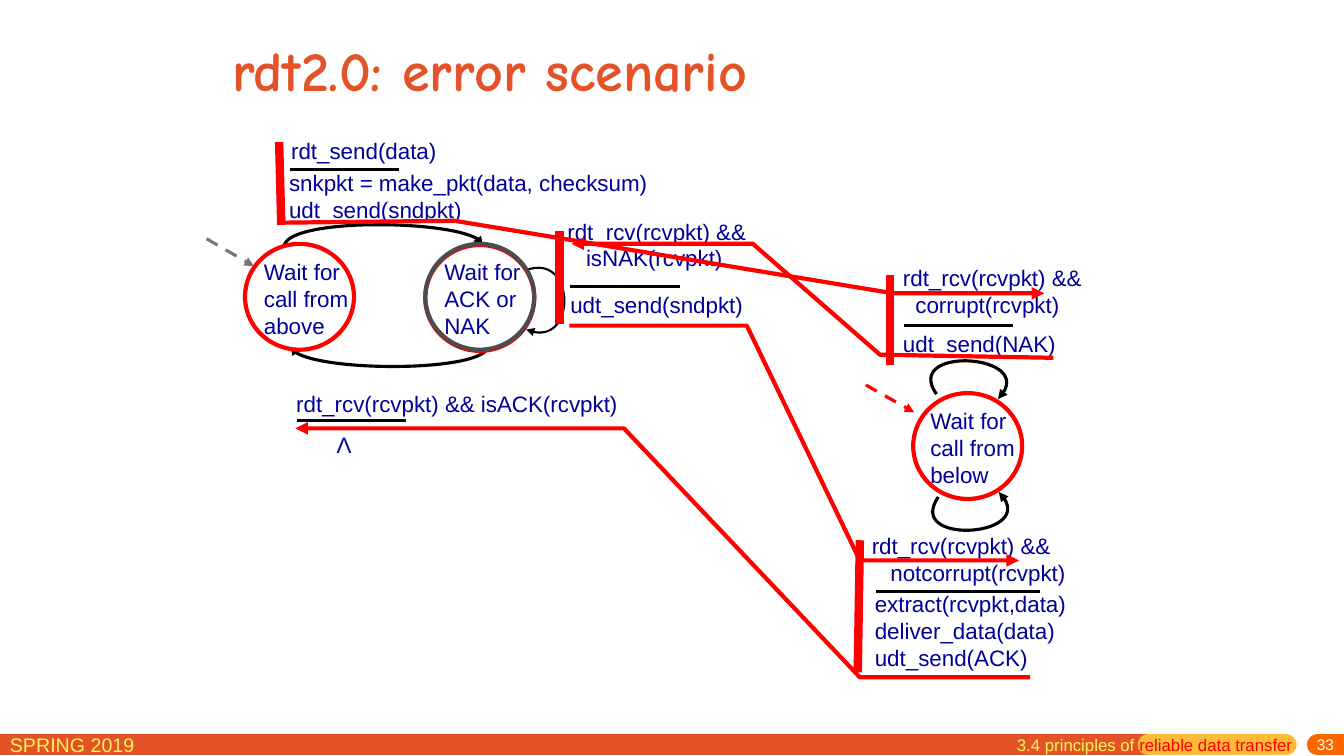
from dataclasses import dataclass

from lxml import etree
from pptx import Presentation
from pptx import util as u
from pptx.dml.color import RGBColor
from pptx.enum import dml, shapes, text
from pptx.oxml.ns import qn

Point = tuple[float, float]


@dataclass(frozen=True)
class Theme:
    orange: str = "E45327"
    amber: str = "FFBA37"
    badge: str = "FF6600"
    yellow: str = "FFF65C"
    navy: str = "000099"
    red: str = "FF0000"
    black: str = "000000"
    white: str = "FFFFFF"
    grey: str = "777777"
    dark: str = "4C4C4C"
    body_font: str = "Arial"
    title_font: str = "Comic Neue"
    title_size: float = 40
    body_size: float = 16
    term_size: float = 14
    section_size: float = 12
    number_size: float = 11


THEME = Theme()


@dataclass(frozen=True)
class Label:
    left: float
    top: float
    width: float
    height: float
    lines: tuple[str, ...]
    indent: float = 0  # left margin of the lines after the first
    size: float = THEME.body_size
    color: str = THEME.navy
    font: str = THEME.body_font
    bold: bool = False
    middle: bool = False
    wrap: bool = True


@dataclass(frozen=True)
class Stroke:
    points: tuple[Point, ...]
    color: str
    width: float
    arrow: bool = False
    dashed: bool = False
    curved: bool = False
    round_cap: bool = False


@dataclass(frozen=True)
class Ring:
    left: float
    top: float
    color: str
    width: float = 3
    filled: bool = False


STATE_WIDTH, STATE_HEIGHT = 77.8, 75.6
FOOTER_Y = 532.1

FOOTER_BARS = [
    Stroke(((0, FOOTER_Y), (820.1, FOOTER_Y)), THEME.orange, 15),
    Stroke(((820.1, FOOTER_Y), (918.7, FOOTER_Y)), THEME.amber, 15, round_cap=True),
    Stroke(((941, FOOTER_Y), (960, FOOTER_Y)), THEME.badge, 15, round_cap=True),
]
TITLE = Label(159.1, 14.4, 612, 69.8, ("rdt2.0: error scenario",), size=THEME.title_size,
              color=THEME.orange, font=THEME.title_font, bold=True, middle=True)
TERM = Label(0, 519.8, 164.9, 22.3, ("SPRING 2019",), size=THEME.term_size, color=THEME.yellow)
NUMBER = Label(774, 527, 186, 13, ("33",), size=THEME.number_size, color=THEME.white, middle=True)
SECTION = Label(719.3, 521.3, 216.7, 22.3, ("3.4 principles of ",),
                size=THEME.section_size, color=THEME.yellow)

TRANSITION_ARCS = [
    Stroke(curve, THEME.black, width, arrow=True, curved=True)
    for curve, width in [
        (((203, 175.7), (205.9, 155.5), (344.9, 157), (344.9, 175.7)), 2.25),
        (((348.5, 247), (348.5, 265.7), (210.2, 266.4), (207.4, 247)), 2.25),
        (((375.8, 193), (410.4, 180), (412.6, 250.6), (375.8, 235.4)), 1.5),
        (((668.9, 281.5), (645.1, 247.7), (744.5, 252.7), (712.8, 285.1)), 2.25),
        (((670.3, 355), (646.6, 388.8), (745.2, 383.8), (713.5, 351.4)), 2.25),
    ]
]
EVENT_RULES = [
    Stroke(((left, y), (right, y)), THEME.black, 2.25)
    for left, right, y in [(207.4, 285.1, 121), (625.7, 743, 422.6), (212.4, 290.2, 300.2),
                           (407.5, 486, 204.5), (645.8, 723.6, 232.6)]
]
STATE_DISCS = [Ring(left, top, THEME.black, 1.5, filled=True)
               for left, top in [(175, 174.2), (303.8, 175), (652.3, 280.8)]]
LABELS = [
    Label(181.4, 180.7, 94.3, 48.2, ("Wait for call from above",)),
    Label(310.3, 180.7, 85, 48.2, ("Wait for ACK or NAK",)),
    Label(657.4, 287.3, 94.3, 48.2, ("Wait for call from below",)),
    Label(200.9, 94.3, 177.8, 33.8, ("rdt_send(data)",)),
    Label(199.4, 117.4, 286.6, 31.7, ("snkpkt = make_pkt(data, checksum)", "udt_send(sndpkt)")),
    Label(398.2, 151.9, 164.2, 49.7, ("rdt_rcv(rcvpkt) &&", "isNAK(rcvpkt)"), indent=13.3),
    Label(400.3, 204.5, 139, 31.7, ("udt_send(sndpkt)",)),
    Label(204.5, 275, 279.4, 22.3, ("rdt_rcv(rcvpkt) && isACK(rcvpkt)",)),
    Label(233.3, 304.6, 25.2, 26.6, ("Λ",), wrap=False),
    Label(637.9, 185, 151.2, 24.5, ("rdt_rcv(rcvpkt) &&", "corrupt(rcvpkt)"), indent=8.9),
    Label(637.9, 232.6, 144, 20.2, ("udt_send(NAK)",)),
    Label(615.6, 376.6, 170, 55.4, ("rdt_rcv(rcvpkt) &&", "notcorrupt(rcvpkt)"), indent=13.3),
    Label(617.8, 418.3, 168.5, 49,
          ("extract(rcvpkt,data)", "deliver_data(data)", "udt_send(ACK)")),
]
INITIAL_ARROWS = [
    Stroke(((147.6, 170.6), (181.4, 190.1)), THEME.grey, 2.25, arrow=True, dashed=True),
    Stroke(((618.5, 275), (653, 294.5)), THEME.red, 2.25, arrow=True, dashed=True),
]
STATE_RINGS = [
    Ring(652.3, 280.8, THEME.red),
    Ring(303.8, 175, THEME.red),
    Ring(175, 174.2, THEME.red),
    Ring(303.8, 174.2, THEME.dark),
]
ACTION_BARS = [
    Stroke(ends, THEME.red, 6)
    for ends in [((199.4, 101.5), (200.9, 160.6)), ((614.2, 385.9), (612.7, 480.2)),
                 ((635.8, 196.6), (635.8, 260.6)), ((399.6, 164.9), (399.6, 231.1))]
]
MESSAGE_ROUTES = [
    Stroke(route, THEME.red, 3, arrow=True)
    for route in [
        ((199.4, 159.1), (324.7, 157.7), (637.9, 209.5), (745.9, 209.5)),
        ((735.8, 483.8), (614.2, 483.8), (445.7, 306), (211, 306)),
        ((752.4, 255.6), (628.6, 253.4), (537.8, 174.2), (408.2, 174.2)),
        ((406.8, 232.6), (533.5, 232.6), (614.2, 400.3), (727.9, 400.3)),
    ]
]


def rgb(color: str) -> RGBColor:
    return RGBColor.from_string(color)


def add_label(page, label: Label):
    box = page.shapes.add_textbox(*map(u.Pt, (label.left, label.top, label.width, label.height)))
    frame = box.text_frame
    frame.word_wrap = label.wrap
    frame.vertical_anchor = text.MSO_ANCHOR.MIDDLE if label.middle else text.MSO_ANCHOR.TOP
    frame.text = "\n".join(label.lines)
    for index, para in enumerate(frame.paragraphs):
        if index and label.indent:
            para._p.get_or_add_pPr().set("marL", str(u.Pt(label.indent)))
        for span in para.runs:
            span.font.name = label.font
            span.font.size = u.Pt(label.size)
            span.font.bold = label.bold
            span.font.color.rgb = rgb(label.color)
    return frame


def bend(shape) -> None:
    """Turn the three segments of a freeform into one cubic curve."""
    outline = next(shape._element.iter(qn("a:path")))
    segments = outline.findall(qn("a:lnTo"))
    curve = etree.SubElement(outline, qn("a:cubicBezTo"))
    for segment in segments:
        curve.append(segment[0])
        outline.remove(segment)


def add_stroke(page, stroke: Stroke) -> None:
    points = [(u.Pt(x), u.Pt(y)) for x, y in stroke.points]
    if len(points) == 2:
        shape = page.shapes.add_connector(shapes.MSO_CONNECTOR.STRAIGHT, *points[0], *points[1])
    else:
        builder = page.shapes.build_freeform(*points[0])
        builder.add_line_segments(points[1:], close=False)
        shape = builder.convert_to_shape()
        shape.fill.background()
        if stroke.curved:
            bend(shape)
    shape.line.color.rgb = rgb(stroke.color)
    shape.line.width = u.Pt(stroke.width)
    if stroke.dashed:
        shape.line.dash_style = dml.MSO_LINE.DASH
    outline = shape.line._get_or_add_ln()
    if stroke.round_cap:
        outline.set("cap", "rnd")
    if stroke.arrow:
        etree.SubElement(outline, qn("a:tailEnd"), type="triangle")
    etree.SubElement(shape._element.spPr, qn("a:effectLst"))


def add_ring(page, ring: Ring) -> None:
    shape = page.shapes.add_shape(
        shapes.MSO_SHAPE.OVAL, *map(u.Pt, (ring.left, ring.top, STATE_WIDTH, STATE_HEIGHT)))
    shape.shadow.inherit = False
    if ring.filled:
        shape.fill.solid()
        shape.fill.fore_color.rgb = rgb(THEME.white)
    else:
        shape.fill.background()
    shape.line.color.rgb = rgb(ring.color)
    shape.line.width = u.Pt(ring.width)


def add_footer(page) -> None:
    for bar in FOOTER_BARS:
        add_stroke(page, bar)
    add_label(page, TERM)
    number = add_label(page, NUMBER)
    number.margin_top, number.margin_bottom = u.Pt(0), u.Pt(3.6)
    number.paragraphs[0].alignment = text.PP_ALIGN.RIGHT
    span = add_label(page, SECTION).paragraphs[0].add_run()
    span.text = "reliable data transfer"
    span.font.name = THEME.body_font
    span.font.size = u.Pt(THEME.section_size)
    span.font.color.rgb = rgb(THEME.red)


def main() -> None:
    deck = Presentation()
    deck.slide_width, deck.slide_height = u.Pt(960), u.Pt(540)
    page = deck.slides.add_slide(deck.slide_layouts[6])
    add_footer(page)
    add_label(page, TITLE)
    for stroke in TRANSITION_ARCS + EVENT_RULES:
        add_stroke(page, stroke)
    for disc in STATE_DISCS:
        add_ring(page, disc)
    for label in LABELS:
        add_label(page, label)
    for ring in STATE_RINGS:
        add_ring(page, ring)
    for stroke in INITIAL_ARROWS + ACTION_BARS + MESSAGE_ROUTES:
        add_stroke(page, stroke)
    deck.save("out.pptx")


if __name__ == "__main__":
    main()
